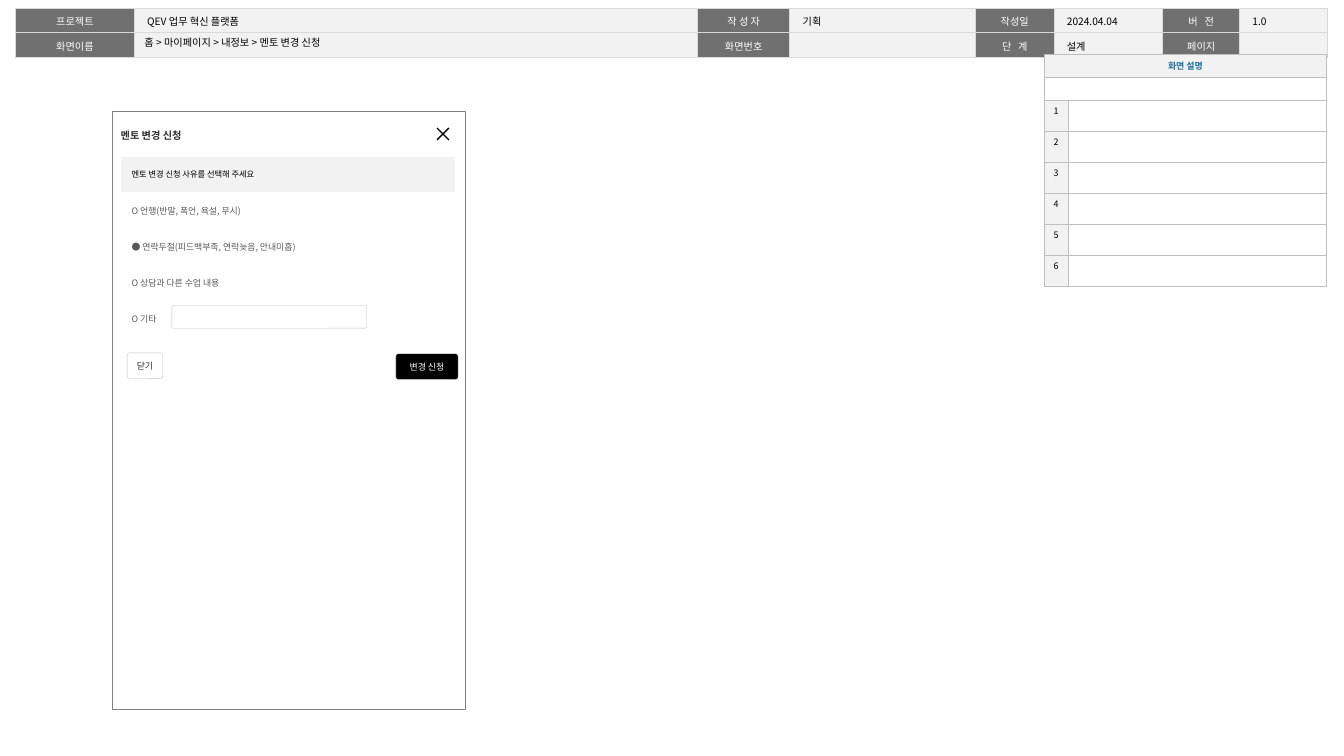
from lxml import etree
from pptx import Presentation
from pptx import util as u
from pptx.dml.color import RGBColor
from pptx.enum import shapes, text
from pptx.oxml.ns import qn

# Content
HEADER = [
    ["프로젝트", "QEV 업무 혁신 플랫폼", "작 성 자", "기획", "작성일", "2024.04.04", "버   전", "1.0"],
    ["화면이름", "", "화면번호", "", "단   계", "설계", "페이지", ""],
]
BREADCRUMB = "홈 > 마이페이지 > 내정보 > 멘토 변경 신청"
NOTES_TITLE = "화면 설명"
NOTE_COUNT = 6
DIALOG_TITLE = "멘토 변경 신청"
PROMPT = "멘토 변경 신청 사유를 선택해 주세요"
REASONS = [
    "O 언행(반말, 폭언, 욕설, 무시)",
    "● 연락두절(피드백부족, 연락늦음, 안내미흡)",
    "O 상담과 다른 수업 내용",
    "O 기타",
]

# Format
COLORS = {
    "black": "000000", "white": "FFFFFF", "ink": "2E2E2E", "body": "595959",
    "label": "707070", "pale": "F2F2F2", "accent": "176F9B",
    "frame": "808080", "rule": "BFBFBF", "header_rule": "D9D9D9",
}
KOREAN = "Noto Sans CJK KR"
LATIN = "Arial"
CENTER, LEFT = text.PP_ALIGN.CENTER, text.PP_ALIGN.LEFT
MIDDLE, TOP = text.MSO_ANCHOR.MIDDLE, text.MSO_ANCHOR.TOP

# Grid: ten columns or rows to the inch; boxes are left, top, width, height
GRID = 0.1
PAGE = (147, 82.7)
HEADER_AT, HEADER_COLS, HEADER_ROW = (1.7, 0.9), [13, 61.6, 10.1, 20.3, 8.6, 11.9, 8.4, 9.6], 2.4
BREADCRUMB_BOX = (14.7, 3.8, 38.5, 1.6)
NOTES_AT, NOTES_COLS, NOTES_HEAD, NOTES_ROW = (114.2, 5.9), [2.6, 28.3], 2.5, 3.4
PANEL = (12.3, 12.2, 38.6, 65.4)
CLOSE_AT, CLOSE_SIZE = (47.8, 14), 1.3
TITLE_BOX = (13.2, 13, 19.8, 2.8)
FORM_AT, FORM_COLS, FORM_ROW = (13.2, 17.1), [36.6], 3.94
OTHER_FIELD = (18.8, 33.4, 21.3, 2.5)
BUTTONS = [
    ("닫기", (13.9, 38.6, 3.9, 2.8), "white", "ink"),
    ("변경 신청", (43.3, 38.7, 6.8, 2.8), "black", "white"),
]


def cells(count):
    return u.Inches(count * GRID)


def rgb(name):
    return RGBColor.from_string(COLORS[name])


def write(frame, words, size, color, font=KOREAN, bold=False, align=LEFT, spacing=1.0):
    para = frame.paragraphs[0]
    para.alignment, para.line_spacing = align, spacing
    if not words:
        etree.SubElement(para._p, qn("a:endParaRPr"), sz=str(int(size * 100)))
        return
    span = para.add_run()
    span.text = words
    look = {"size": u.Pt(size), "name": font, "bold": bold}
    for key, value in look.items():
        setattr(span.font, key, value)
    span.font.color.rgb = rgb(color)
    etree.SubElement(span.font._element, qn("a:ea"), typeface=KOREAN)


def set_frame(target, margins, **settings):
    sides = ("margin_left", "margin_top", "margin_right", "margin_bottom")
    values = dict(zip(sides, map(u.Inches, margins)), **settings)
    for key, value in values.items():
        setattr(target, key, value)


def add_text(page, box, margins, anchor, words, *style, **format_values):
    frame = page.shapes.add_textbox(*map(cells, box)).text_frame
    set_frame(frame, margins, word_wrap=True, vertical_anchor=anchor)
    write(frame, words, *style, **format_values)


def add_box(page, kind, box, fill, line, width, radius=None):
    shape = page.shapes.add_shape(kind, *map(cells, box))
    shape.shadow.inherit = False
    if fill:
        shape.fill.solid()
        shape.fill.fore_color.rgb = rgb(fill)
    else:
        shape.fill.background()
    shape.line.color.rgb, shape.line.width = rgb(line), u.Pt(width)
    if radius is not None:
        shape.adjustments[0] = radius
    return shape


def add_grid(page, place, columns, rows):
    size = (sum(columns), sum(rows))
    table = page.shapes.add_table(len(rows), len(columns), *map(cells, place + size)).table
    table.first_row = table.horz_banding = False
    for column, width in zip(table.columns, columns):
        column.width = cells(width)
    for row, height in zip(table.rows, rows):
        row.height = cells(height)
    return table


def fill_cell(cell, fill, border, width, margins, anchor, words, *style, **format_values):
    properties = cell._tc.get_or_add_tcPr()
    for side in ("lnL", "lnR", "lnT", "lnB"):
        line = etree.SubElement(properties, qn("a:" + side), w=str(u.Pt(width)))
        solid = etree.SubElement(line, qn("a:solidFill"))
        etree.SubElement(solid, qn("a:srgbClr"), val=COLORS[border])
    cell.fill.solid()
    cell.fill.fore_color.rgb = rgb(fill)
    set_frame(cell, margins, vertical_anchor=anchor)
    write(cell.text_frame, words, *style, **format_values)


def add_header(page):
    table = add_grid(page, HEADER_AT, HEADER_COLS, [HEADER_ROW] * len(HEADER))
    for r, row in enumerate(HEADER):
        for c, words in enumerate(row):
            fill, color, align = (("pale", "black", LEFT) if c % 2
                                  else ("label", "white", CENTER))
            fill_cell(table.cell(r, c), fill, "header_rule", 1, (0.14, 0.05, 0.14, 0.05), TOP,
                      words, 8, color, align=align, spacing=1.05)


def add_notes(page):
    rows = [[NOTES_TITLE, ""], ["", ""]] + [[str(n + 1), ""] for n in range(NOTE_COUNT)]
    table = add_grid(page, NOTES_AT, NOTES_COLS, [NOTES_HEAD] * 2 + [NOTES_ROW] * NOTE_COUNT)
    for r, row in enumerate(rows):
        head = r == 0
        for c, words in enumerate(row):
            fill_cell(table.cell(r, c), "pale" if words else "white", "rule", 0.25,
                      (0.04, 0.05, 0.04, 0.05), MIDDLE if head else TOP, words, 7,
                      "accent" if head else "black", bold=head, align=CENTER)
    for r in range(2):
        table.cell(r, 0).merge(table.cell(r, 1))


def add_close_mark(page):
    left, top = CLOSE_AT
    right, bottom = left + CLOSE_SIZE, top + CLOSE_SIZE
    for ends in ((left, top, right, bottom), (right, top, left, bottom)):
        line = page.shapes.add_connector(shapes.MSO_CONNECTOR.STRAIGHT, *map(cells, ends))
        line.line.color.rgb, line.line.width = rgb("black"), u.Pt(1)
        etree.SubElement(line._element.spPr, qn("a:effectLst"))


def add_form(page):
    rounded = shapes.MSO_SHAPE.ROUNDED_RECTANGLE
    for words, box, fill, color in BUTTONS:
        button = add_box(page, rounded, box, fill, "rule", 0.25, 0.1)
        set_frame(button.text_frame, (0.04, 0, 0.04, 0), word_wrap=False, vertical_anchor=MIDDLE)
        write(button.text_frame, words, 7, color, LATIN, align=CENTER)
    rows = [(PROMPT, "pale", 6.5, "black", LATIN)]
    rows += [(reason, "white", 7, "body", KOREAN) for reason in REASONS]
    table = add_grid(page, FORM_AT, FORM_COLS, [FORM_ROW] * len(rows))
    for r, (words, fill, *style) in enumerate(rows):
        fill_cell(table.cell(r, 0), fill, "white", 1, (0.12, 0.05, 0.08, 0.05), MIDDLE,
                  words, *style)
    add_box(page, rounded, OTHER_FIELD, "white", "rule", 0.25, 0.06)


def main():
    deck = Presentation()
    deck.slide_width, deck.slide_height = map(cells, PAGE)
    page = deck.slides.add_slide(deck.slide_layouts[6])
    # Page frame
    add_header(page)
    add_box(page, shapes.MSO_SHAPE.RECTANGLE, PANEL, None, "frame", 0.5)
    add_close_mark(page)
    add_text(page, BREADCRUMB_BOX, (0.11, 0.05, 0.11, 0.05), MIDDLE, BREADCRUMB, 8, "black")
    # Description table and dialog
    add_notes(page)
    add_form(page)
    add_text(page, TITLE_BOX, (0, 0.05, 0, 0.05), TOP, DIALOG_TITLE, 8, "ink", LATIN,
             bold=True, spacing=1.5)
    deck.save("out.pptx")


if __name__ == "__main__":
    main()
